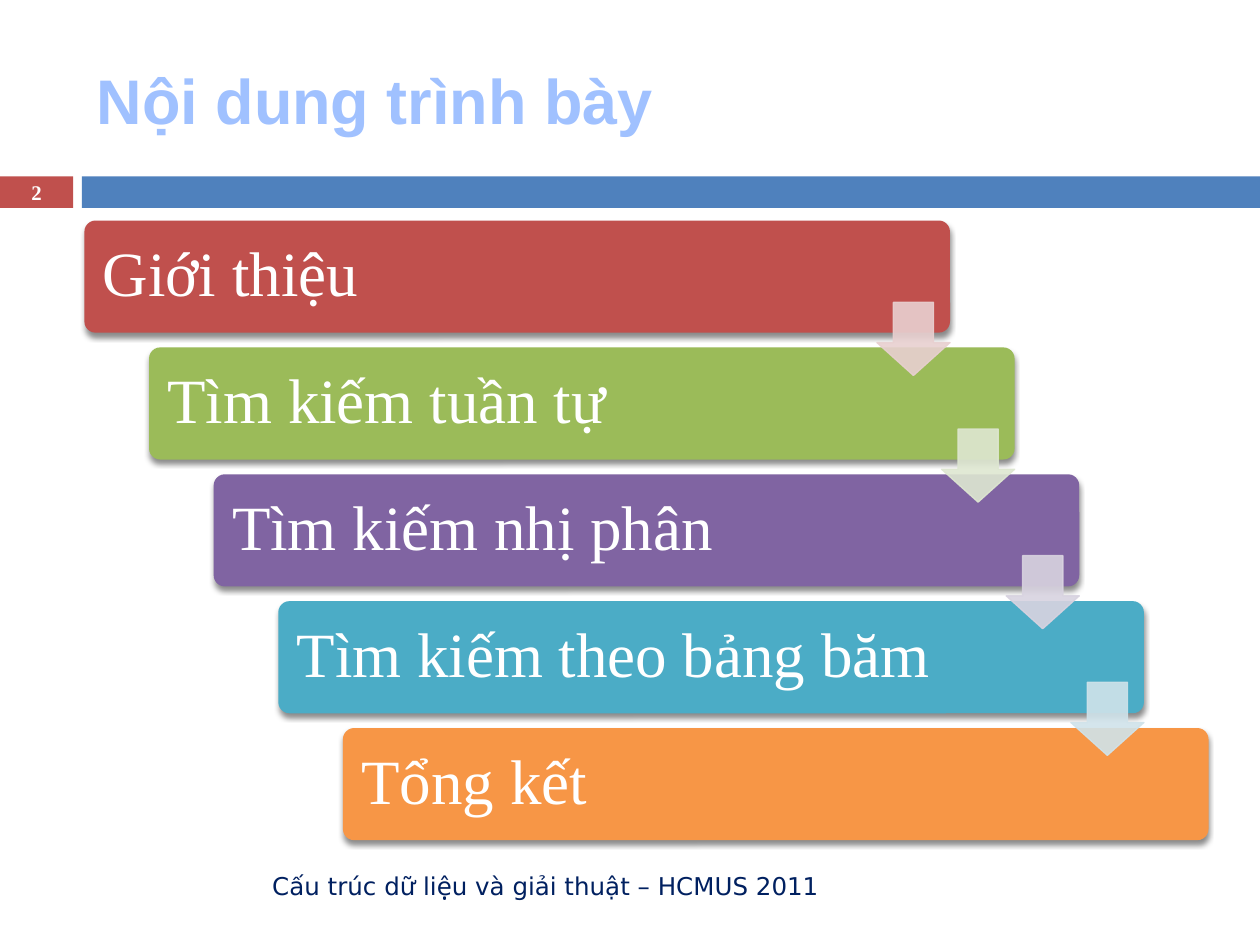
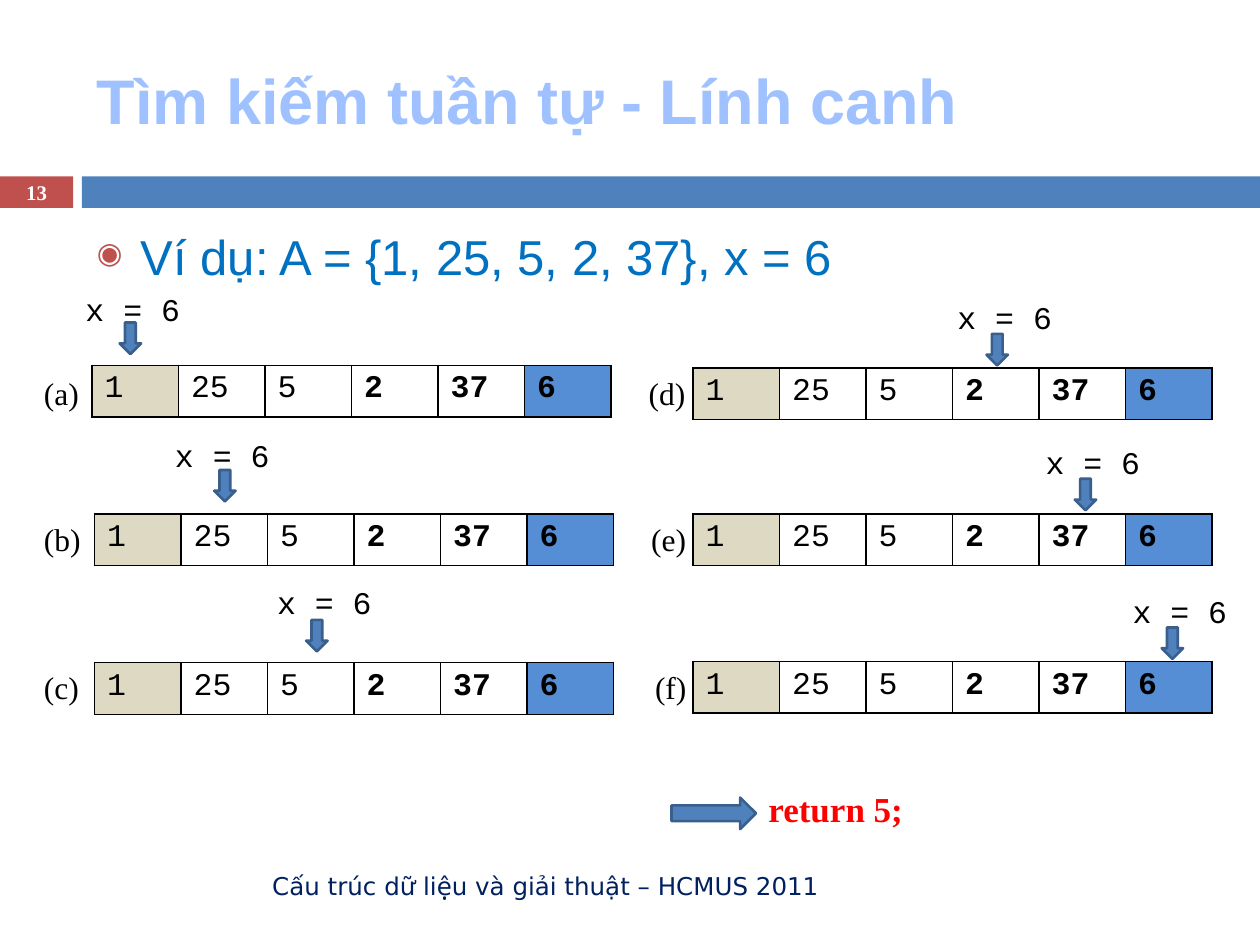
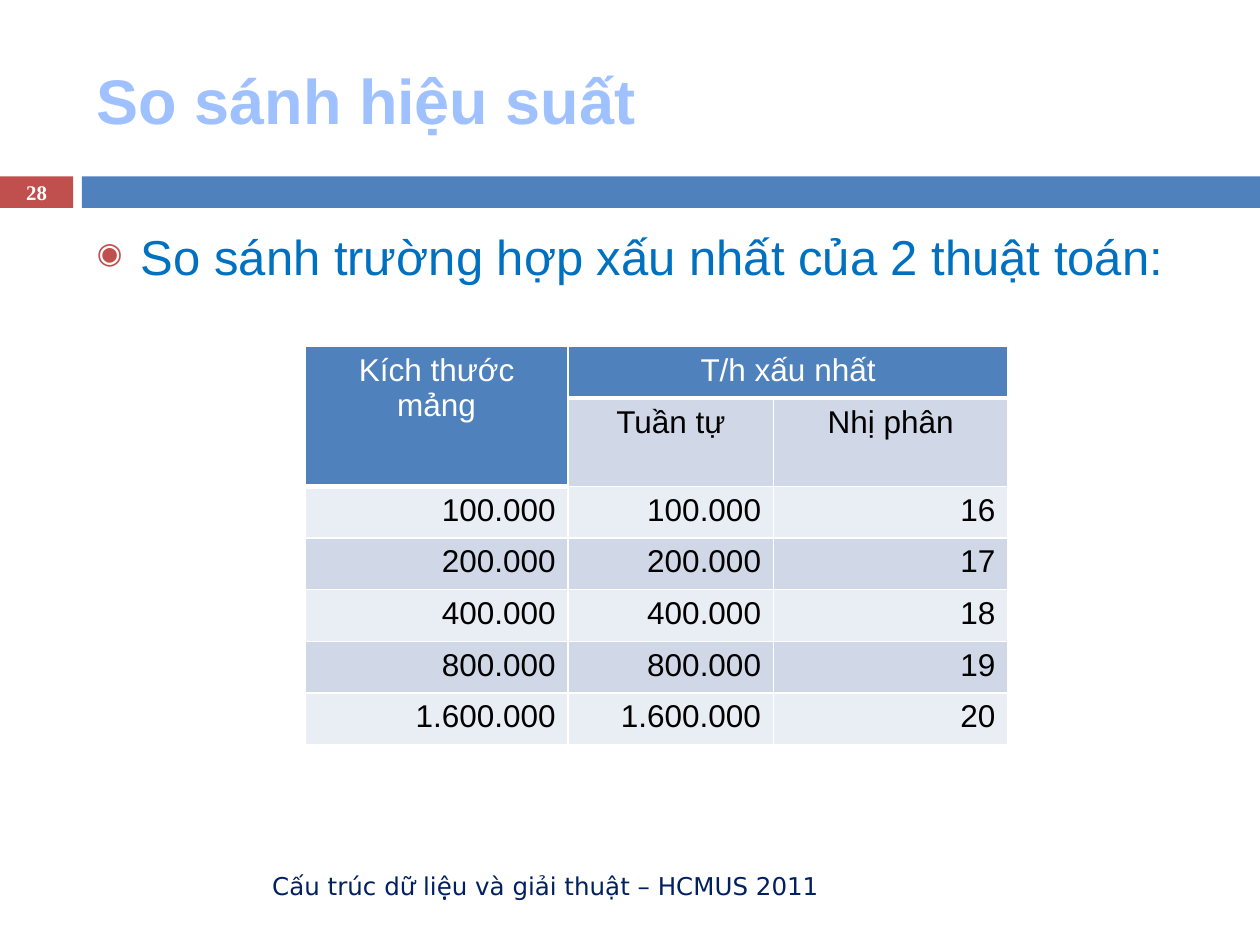
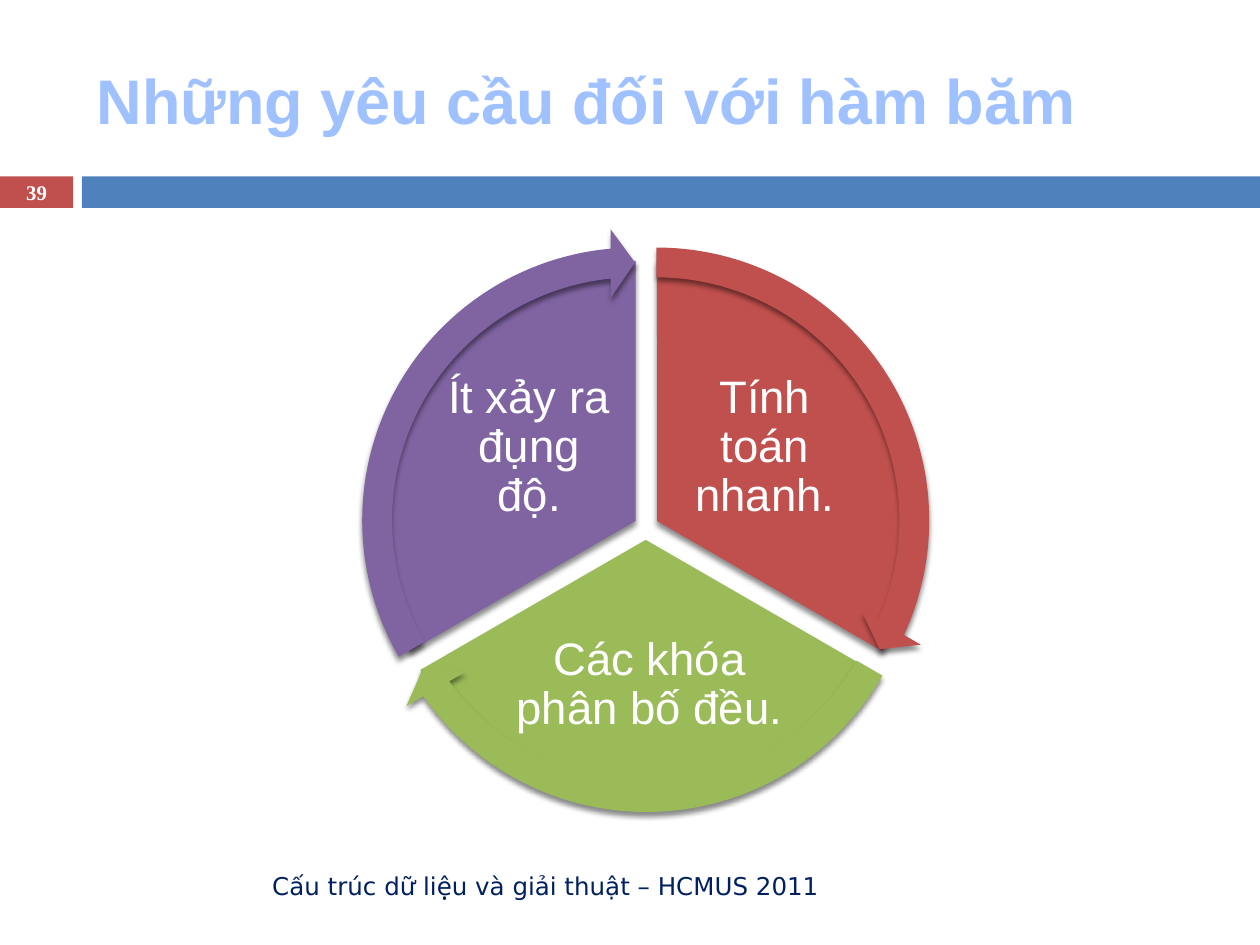
"""Build four lecture slides on searching algorithms and hash functions."""
from lxml.etree import SubElement
from pptx import Presentation
from pptx.dml.color import RGBColor
from pptx.enum.shapes import MSO_SHAPE
from pptx.enum.text import MSO_ANCHOR, PP_ALIGN
from pptx.oxml import parse_xml
from pptx.oxml.ns import nsdecls, qn
from pptx.util import Inches, Pt

RED, BLUE, GREEN, PURPLE = "C0504D", "4F81BD", "9BBB59", "8064A2"
TEAL, ORANGE, WHITE, BLACK = "4BACC6", "F79646", "FFFFFF", "000000"
TITLE, BODY, FOOTER, OUTLINE = "A0C1FF", "0070C0", "002060", "3A5F8C"
SAND, SENTINEL, BAND_DARK, BAND_LIGHT = "DDD9C3", "558ED5", "D0D8E8", "E9EDF4"
SANS, SERIF, MONO, FOOT_FONT = "Arial", "Times New Roman", "Courier New", "DejaVu Sans"
LEFT, CENTER, RIGHT = PP_ALIGN.LEFT, PP_ALIGN.CENTER, PP_ALIGN.RIGHT

FOOTER_TEXT = "Cấu trúc dữ liệu và giải thuật – HCMUS 2011"
AGENDA = [
    ("Giới thiệu", RED, "E8D0D0"),
    ("Tìm kiếm tuần tự", GREEN, "DEE7D1"),
    ("Tìm kiếm nhị phân", PURPLE, "D8D3E0"),
    ("Tìm kiếm theo bảng băm", TEAL, "D0E3EA"),
    ("Tổng kết", ORANGE, None),
]
ARRAY = ["1", "25", "5", "2", "37", "6"]
# label, label position, array position, cue position, arrow position
STEPS = [
    ("(a)", (0.25, 2.92), (0.73, 2.9), (0.58, 2.25), (0.95, 2.56)),
    ("(b)", (0.25, 4.08), (0.75, 4.08), (1.29, 3.41), (1.7, 3.73)),
    ("(c)", (0.25, 5.25), (0.75, 5.26), (2.1, 4.58), (2.43, 4.92)),
    ("(d)", (5.05, 2.92), (5.5, 2.92), (7.5, 2.32), (7.83, 2.65)),
    ("(e)", (5.07, 4.08), (5.5, 4.08), (8.2, 3.47), (8.53, 3.8)),
    ("(f)", (5.1, 5.25), (5.5, 5.25), (8.89, 4.65), (9.22, 4.98)),
]
COMPARISON = [
    ("Kích thước mảng", "T/h xấu nhất", ""),
    ("", "Tuần tự", "Nhị phân"),
    ("100.000", "100.000", "16"),
    ("200.000", "200.000", "17"),
    ("400.000", "400.000", "18"),
    ("800.000", "800.000", "19"),
    ("1.600.000", "1.600.000", "20"),
]
# text, colour, pie position, pie angles, label box, arrow position, arrow angles
SECTORS = [
    ("Tính toán nhanh.", RED, (3.15, 2.07), (162, 18),
     (5.33, 2.94, 1.48, 1.23), (2.89, 1.81), (14.73, 161.99)),
    ("Các khóa phân bố đều.", GREEN, (3.06, 2.22), (18, 90),
     (4.05, 4.9, 2.21, 1.08), (2.81, 1.96), (86.72, 18.01)),
    ("Ít xảy ra đụng độ.", PURPLE, (2.98, 2.07), (90, 162),
     (3.46, 2.94, 1.48, 1.23), (2.72, 1.81), (158.73, 90)),
]


def rgb(color):
    """Turn a hex string into a colour."""
    return RGBColor.from_string(color)


def write(tf, text, size, font, color, bold=False, align=LEFT):
    """Put one styled paragraph in a text frame."""
    p = tf.paragraphs[0]
    p.text, p.alignment = text, align
    p.font.size, p.font.name, p.font.bold = Pt(size), font, bold
    p.font.color.rgb = rgb(color)
    return p


def set_frame(tf, inset=None, middle=True):
    """Set wrapping, anchor and equal insets of a text frame."""
    tf.word_wrap = True
    tf.vertical_anchor = MSO_ANCHOR.MIDDLE if middle else MSO_ANCHOR.TOP
    if inset is not None:
        tf.margin_left = tf.margin_right = Inches(inset)
        tf.margin_top = tf.margin_bottom = Inches(inset)


def add_text(s, box, text, size, font, color, bold=False, align=LEFT, middle=False, inset=None):
    """Add a text box and return its paragraph."""
    tf = s.shapes.add_textbox(*map(Inches, box)).text_frame
    set_frame(tf, inset, middle)
    return write(tf, text, size, font, color, bold, align)


def add_shape(s, kind, box, fill, line=None, width=1.5, adj=(), shadow=False):
    """Add a filled preset shape, optionally outlined or shadowed."""
    sp = s.shapes.add_shape(kind, *map(Inches, box))
    for i, value in enumerate(adj):
        sp.adjustments[i] = value
    sp.fill.solid()
    sp.fill.fore_color.rgb = rgb(fill)
    if line:
        sp.line.color.rgb, sp.line.width = rgb(line), Pt(width)
    else:
        sp.line.fill.background()
    sp.shadow.inherit = False
    if shadow:
        sp._element.spPr.find(qn("a:effectLst")).append(parse_xml(
            f'<a:outerShdw {nsdecls("a")} blurRad="{Pt(3)}" dist="{Pt(2.4)}" dir="5400000" '
            'rotWithShape="0"><a:srgbClr val="000000"><a:alpha val="45000"/></a:srgbClr></a:outerShdw>'))
    return sp


def add_bullet(s, text):
    """Add the bulleted body line."""
    p = add_text(s, (0.67, 1.75, 8.92, 4.92), text, 28, SANS, BODY)
    p.space_before = Pt(7)
    pPr = p._p.get_or_add_pPr()
    pPr.set("marL", str(Inches(0.35)))
    pPr.set("indent", str(-Inches(0.35)))
    marks = (f'<a:buClr {nsdecls("a")}><a:srgbClr val="{RED}"/></a:buClr>',
             f'<a:buSzPct {nsdecls("a")} val="60000"/>',
             f'<a:buChar {nsdecls("a")} char="◉"/>')
    for i, mark in enumerate(marks, 1):
        pPr.insert(i, parse_xml(mark))


def add_table(s, pos, widths, rows, height=0.41):
    """Add a table without banding."""
    box = (*pos, sum(widths), height * rows)
    table = s.shapes.add_table(rows, len(widths), *map(Inches, box)).table
    table.first_row = table.horz_banding = False
    for col, width in zip(table.columns, widths):
        col.width = Inches(width)
    return table


def style_cell(cell, fill, border, bottom=1):
    """Set the borders and fill of a cell."""
    tcPr = cell._tc.get_or_add_tcPr()
    for side, width in (("L", 1), ("R", 1), ("T", 1), ("B", bottom)):
        ln = SubElement(tcPr, qn(f"a:ln{side}"), w=str(Pt(width)))
        SubElement(SubElement(ln, qn("a:solidFill")), qn("a:srgbClr"), val=border)
    if fill:
        cell.fill.solid()
        cell.fill.fore_color.rgb = rgb(fill)
    else:
        cell.fill.background()


def add_slide(prs, number, title):
    """Add a slide with its bands, title, number and footer."""
    s = prs.slides.add_slide(prs.slide_layouts[6])
    add_shape(s, MSO_SHAPE.RECTANGLE, (0, 1.4, 0.58, 0.25), RED)
    add_shape(s, MSO_SHAPE.RECTANGLE, (0.65, 1.4, 9.35, 0.25), BLUE)
    add_text(s, (0.67, 0.25, 8.92, 1.08), title, 36, SANS, TITLE, True, middle=True)
    add_text(s, (0, 1.39, 0.58, 0.27), str(number), 11.9, SERIF, WHITE, True, CENTER, True)
    add_text(s, (0.67, 6.83, 5.93, 0.4), FOOTER_TEXT, 14, FOOT_FONT, FOOTER, align=RIGHT, middle=True)
    return s


def agenda_slide(prs):
    """Stagger the agenda bars and link them with arrows."""
    s = add_slide(prs, 2, "Nội dung trình bày")
    for i, (text, color, _) in enumerate(AGENDA):
        box = (0.67 + 0.513 * i, 1.75 + 1.007 * i, 6.87, 0.89)
        sp = add_shape(s, MSO_SHAPE.ROUNDED_RECTANGLE, box, color, adj=(0.1,), shadow=True)
        set_frame(sp.text_frame, 0.12)
        write(sp.text_frame, text, 36, SERIF, WHITE).line_spacing = 0.9
    for i, (_, _, tint) in enumerate(AGENDA[:-1]):
        box = (6.96 + 0.513 * i, 2.4 + 1.005 * i, 0.58, 0.58)
        sp = add_shape(s, MSO_SHAPE.DOWN_ARROW, box, tint, tint, 0.79, (0.55, 0.45))
        for clr in sp._element.spPr.iter(qn("a:srgbClr")):
            SubElement(clr, qn("a:alpha"), val="90000")


def sentinel_slide(prs):
    """Show each comparison step of the sentinel search."""
    s = add_slide(prs, 13, "Tìm kiếm tuần tự - Lính canh")
    add_bullet(s, "Ví dụ: A = {1, 25, 5, 2, 37}, x = 6")
    fills = {0: SAND, len(ARRAY) - 1: SENTINEL}
    for label, label_pos, array_pos, cue_pos, arrow_pos in STEPS:
        table = add_table(s, array_pos, [0.687] * len(ARRAY), 1)
        for i, value in enumerate(ARRAY):
            cell = table.cell(0, i)
            style_cell(cell, fills.get(i), BLACK)
            write(cell.text_frame, value, 18, MONO, BLACK, i >= 3)
        add_text(s, (*label_pos, 0.58, 0.4), label, 18, SERIF, BLACK)
        add_text(s, (*cue_pos, 1.08, 0.4), "x = 6", 18, MONO, BLACK)
        add_shape(s, MSO_SHAPE.DOWN_ARROW, (*arrow_pos, 0.17, 0.25), BLUE, OUTLINE)
    add_text(s, (6, 6.2, 1.33, 0.44), "return 5;", 20, SERIF, "FF0000", True)
    add_shape(s, MSO_SHAPE.RIGHT_ARROW, (5.33, 6.33, 0.67, 0.25), BLUE, OUTLINE)


def comparison_slide(prs):
    """Tabulate the worst cases of both algorithms."""
    s = add_slide(prs, 28, "So sánh hiệu suất")
    add_bullet(s, "So sánh trường hợp xấu nhất của 2 thuật toán:")
    table = add_table(s, (2.42, 2.75), (2.09, 1.63, 1.86), len(COMPARISON))
    table.cell(0, 0).merge(table.cell(1, 0))
    table.cell(0, 1).merge(table.cell(0, 2))
    for r, row in enumerate(COMPARISON):
        for c, text in enumerate(row):
            cell = table.cell(r, c)
            header = r == 0 or (r == 1 and c == 0)
            fill = BLUE if header else BAND_DARK if r % 2 else BAND_LIGHT
            style_cell(cell, fill, WHITE, 3 if header else 1)
            if text:
                write(cell.text_frame, text, 18, SANS, WHITE if header else BLACK,
                      align=CENTER if r < 2 else RIGHT)


def hash_slide(prs):
    """Draw the cycle of hash function requirements."""
    s = add_slide(prs, 39, "Những yêu cầu đối với hàm băm")
    for text, color, pos, angles, label_box, _, _ in SECTORS:
        add_shape(s, MSO_SHAPE.PIE, (*pos, 4.13, 4.13), color, adj=angles, shadow=True)
        p = add_text(s, label_box, text, 26, SANS, WHITE, align=CENTER, middle=True, inset=0.04)
        p.line_spacing = 0.9
    for _, color, _, _, _, pos, (end, start) in SECTORS:
        add_shape(s, MSO_SHAPE.CIRCULAR_ARROW, (*pos, 4.64, 4.64), color,
                  adj=(0.051, 3.275, end, start, 0.059), shadow=True)


prs = Presentation()
prs.slide_width, prs.slide_height = Inches(10), Inches(7.5)
for build in (agenda_slide, sentinel_slide, comparison_slide, hash_slide):
    build(prs)
prs.save("out.pptx")
